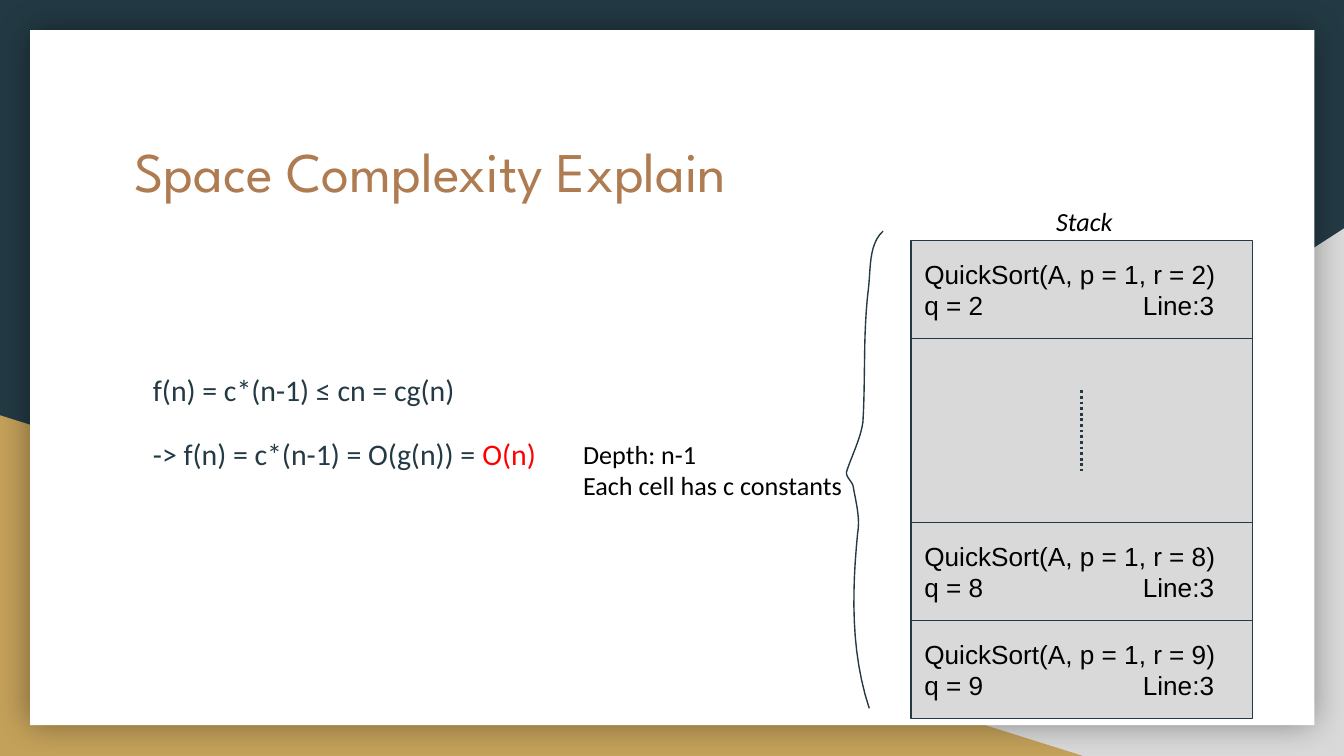
from pptx import Presentation
from pptx.dml.color import RGBColor
from pptx.enum.dml import MSO_LINE
from pptx.enum.shapes import MSO_CONNECTOR, MSO_SHAPE
from pptx.enum.text import MSO_ANCHOR, MSO_AUTO_SIZE, PP_ALIGN
from pptx.oxml import parse_xml
from pptx.oxml.ns import nsdecls
from pptx.util import Cm, Pt
from dataclasses import dataclass


@dataclass(frozen=True)
class Theme:
    navy: str = "233A44"
    gold: str = "C4A15A"
    gray: str = "D9D9D9"
    white: str = "FFFFFF"
    bronze: str = "AF7B51"
    black: str = "000000"
    red: str = "FF0000"
    head_font: str = "League Spartan"
    body_font: str = "Calibri"
    cell_font: str = "Arial"
    title_size: int = 30
    body_size: int = 16
    label_size: int = 14


T = Theme()

# Content: lengths in cm, boxes as left, top, width, height
TITLE = "Space Complexity Explain"
TITLE_BOX = (2.29, 2.34, 20.85, 2.64)
FORMULAS = [
    [("f(n) = c*(n-1) ≤ cn = cg(n) ", T.navy)],
    [("-> f(n) = c*(n-1) = O(g(n)) = ", T.navy), ("O(n)", T.red)],
]
BODY_BOX = (2.64, 6.68, 8.61, 5.61)
STACK_LEFT, STACK_TOP, STACK_WIDTH = 17.22, 4.55, 6.45
FRAME_HEIGHT, GAP_HEIGHT, LINE_TAB = 1.85, 3.48, 4.13
STACK_FRAMES = [2, None, 8, 9]  # r of each call; None is the elided part
DOTS_LENGTH = 1.52
LABELS = [
    ("Stack", (19.71, 3.63, 1.93, 1.12), True),
    ("Depth: n-1\nEach cell has c constants", (10.77, 8.03, 5.54, 1.7), False),
]
BACKDROP = [  # shape, box, fill, flipped
    (MSO_SHAPE.RIGHT_TRIANGLE, (9.96, 4.32, 15.44, 9.97), T.gray, True),
    (MSO_SHAPE.RIGHT_TRIANGLE, (0, 7.85, 20.47, 6.44), T.gold, False),
    (MSO_SHAPE.RECTANGLE, (0.57, 0.57, 24.27, 13.14), T.white, False),
]
BRACE_START = (16.69, 4.37)
BRACE_CURVES = [  # two control points and an end point each
    ((16.41, 4.62), (16.46, 5.11), (16.41, 5.49)),
    ((16.31, 6.32), (16.36, 7.14), (16.31, 7.98)),
    ((16.26, 8.31), (16.1, 8.61), (16, 8.92)),
    ((15.98, 9.02), (16.13, 9.12), (16.13, 9.22)),
    ((16.18, 9.5), (16.26, 9.8), (16.21, 10.08)),
    ((16.1, 11.18), (16.08, 12.34), (16.43, 13.39)),
]


def rgb(color):
    return RGBColor.from_string(color)


def cm(values):
    return [Cm(v) for v in values]


def style_run(r, font, size, color, italic=False):
    r.font.name, r.font.size, r.font.italic = font, Pt(size), italic
    r.font.color.rgb = rgb(color)


def style_frame(tf, anchor=MSO_ANCHOR.TOP, fit=MSO_AUTO_SIZE.NONE):
    tf.word_wrap, tf.vertical_anchor, tf.auto_size = True, anchor, fit
    tf.margin_left = tf.margin_right = tf.margin_top = tf.margin_bottom = Cm(0.25)


def style_text(tf, font, size, color, italic=False):
    for p in tf.paragraphs:
        p.alignment = PP_ALIGN.LEFT
        for r in p.runs:
            style_run(r, font, size, color, italic)


def place(sp, box):
    sp.left, sp.top, sp.width, sp.height = cm(box)


def add_filled(shapes, kind, box, fill, line=None):
    sp = shapes.add_shape(kind, *cm(box))
    sp.shadow.inherit = False
    sp.fill.solid()
    sp.fill.fore_color.rgb = rgb(fill)
    if line:
        sp.line.color.rgb, sp.line.width = rgb(line), Pt(0.75)
    else:
        sp.line.fill.background()
    return sp


def bezier(points, t):
    weights = ((1 - t) ** 3, 3 * t * (1 - t) ** 2, 3 * t * t * (1 - t), t ** 3)
    return tuple(sum(w * p[axis] for w, p in zip(weights, points)) for axis in (0, 1))


prs = Presentation()
prs.slide_width, prs.slide_height = Cm(25.4), Cm(14.29)
s = prs.slides.add_slide(prs.slide_layouts[1])
s.background.fill.solid()
s.background.fill.fore_color.rgb = rgb(T.navy)
title, body = s.shapes.title, s.placeholders[1]

# Backdrop, behind the placeholders
for i, (kind, box, fill, flipped) in enumerate(BACKDROP):
    sp = add_filled(s.shapes, kind, box, fill)
    if flipped:
        sp._element.spPr.xfrm.set("flipH", "1")
    title._element.addprevious(sp._element)
card_effects = sp._element.spPr.find("{*}effectLst")
card_effects.append(parse_xml(
    f'<a:outerShdw {nsdecls("a")} blurRad="{Pt(18)}" dist="0" dir="0" algn="ctr" rotWithShape="0">'
    f'<a:srgbClr val="{T.black}"><a:alpha val="40000"/></a:srgbClr></a:outerShdw>'))

# Title and formulas
place(title, TITLE_BOX)
title.text_frame.text = TITLE
style_frame(title.text_frame)
style_text(title.text_frame, T.head_font, T.title_size, T.bronze)

place(body, BODY_BOX)
tf = body.text_frame
style_frame(tf)
for i, parts in enumerate(FORMULAS):
    p = tf.add_paragraph() if i else tf.paragraphs[0]
    p.line_spacing = 1.15
    p.space_before = p.space_after = Pt(12 if i else 0)
    pPr = p._p.get_or_add_pPr()
    pPr.set("marL", "0")
    pPr.set("indent", "0")
    pPr.append(parse_xml(f'<a:buNone {nsdecls("a")}/>'))
    for text, color in parts:
        r = p.add_run()
        r.text = text
        style_run(r, T.body_font, T.body_size, color)

# Call stack, from the top down
stack = s.shapes.add_group_shape()
top = STACK_TOP
for q in STACK_FRAMES:
    height = FRAME_HEIGHT if q else GAP_HEIGHT
    cell = add_filled(stack.shapes, MSO_SHAPE.RECTANGLE,
                      (STACK_LEFT, top, STACK_WIDTH, height), T.gray, T.navy)
    if q:
        tf = cell.text_frame
        tf.text = f"QuickSort(A, p = 1, r = {q})\nq = {q}\tLine:3"
        style_frame(tf, MSO_ANCHOR.MIDDLE)
        style_text(tf, T.cell_font, T.label_size, T.black)
        tf.paragraphs[1]._p.get_or_add_pPr().append(parse_xml(
            f'<a:tabLst {nsdecls("a")}><a:tab pos="{Cm(LINE_TAB)}" algn="l"/></a:tabLst>'))
    else:
        x, y = STACK_LEFT + STACK_WIDTH / 2, top + (height - DOTS_LENGTH) / 2
        dots = stack.shapes.add_connector(
            MSO_CONNECTOR.STRAIGHT, *cm((x, y, x, y + DOTS_LENGTH)))
        dots.line.color.rgb, dots.line.width = rgb(T.navy), Pt(1.5)
        dots.line.dash_style = MSO_LINE.ROUND_DOT
        dots._element.spPr.append(parse_xml(f'<a:effectLst {nsdecls("a")}/>'))
    top += height

# Labels
for text, box, italic in LABELS:
    tf = s.shapes.add_textbox(*cm(box)).text_frame
    tf.text = text
    style_frame(tf, fit=MSO_AUTO_SIZE.SHAPE_TO_FIT_TEXT)
    style_text(tf, T.body_font, T.label_size, T.black, italic)

# Hand-drawn brace
points = [BRACE_START]
for curve in BRACE_CURVES:
    start = points[-1]
    points += [bezier((start, *curve), step / 12) for step in range(1, 13)]
points = [cm(point) for point in points]
pen = s.shapes.build_freeform(*points[0])
pen.add_line_segments(points[1:], close=False)
brace = pen.convert_to_shape()
brace.shadow.inherit = False
brace.fill.background()
brace.line.color.rgb, brace.line.width = rgb(T.navy), Pt(0.75)

prs.save("out.pptx")
